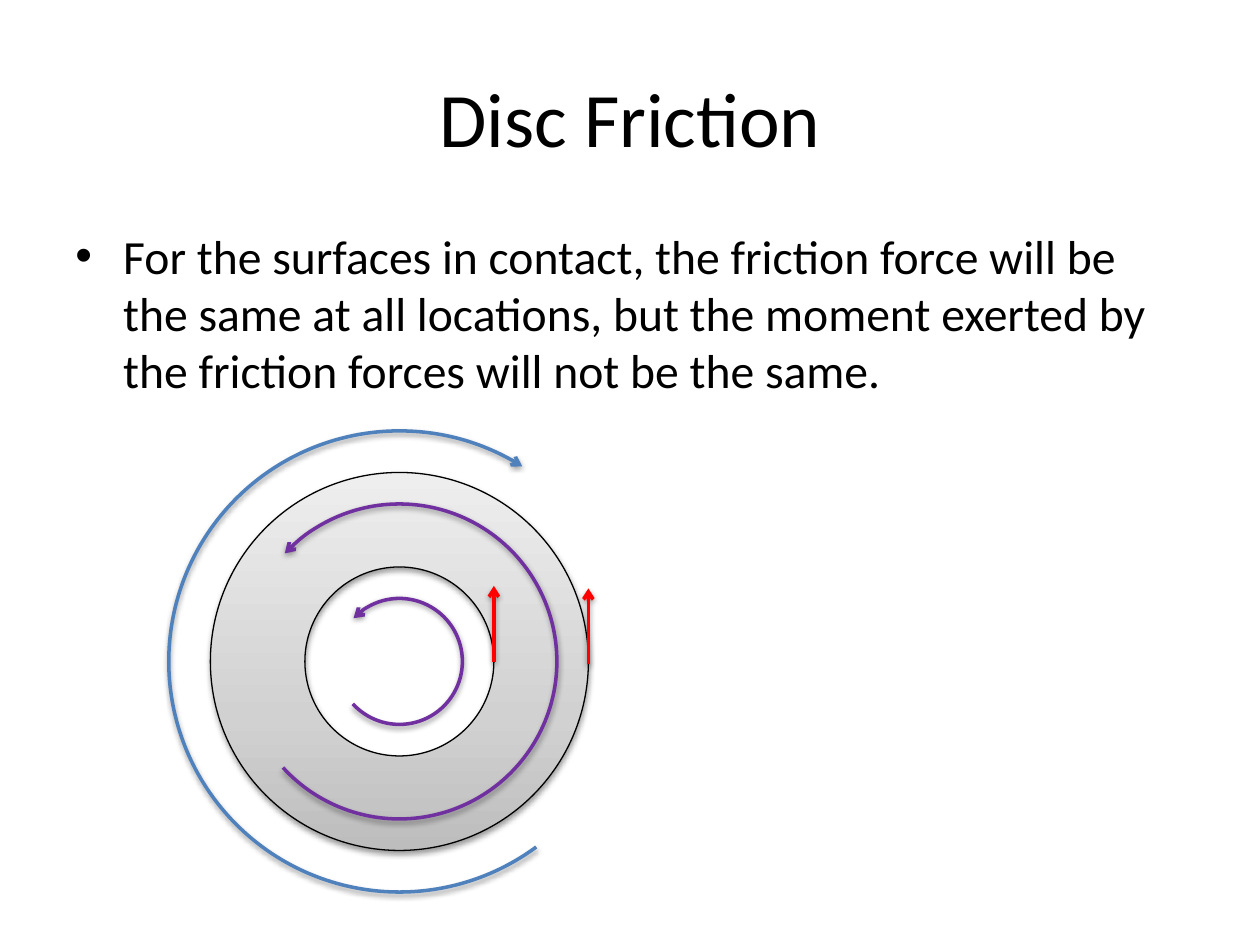
from dataclasses import dataclass

from lxml.etree import SubElement
from pptx import Presentation
from pptx.dml.color import RGBColor
from pptx.enum.shapes import MSO_CONNECTOR, MSO_SHAPE
from pptx.enum.text import MSO_ANCHOR, PP_ALIGN
from pptx.oxml import parse_xml
from pptx.oxml.ns import nsdecls, qn
from pptx.util import Inches, Pt

BLACK = RGBColor(0x00, 0x00, 0x00)
BLUE = RGBColor(0x4F, 0x81, 0xBD)
PURPLE = RGBColor(0x70, 0x30, 0xA0)
RED = RGBColor(0xFF, 0x00, 0x00)
DISC_STOPS = (
    (0, RGBColor(0xBD, 0xBD, 0xBD)),
    (35, RGBColor(0xD1, 0xD1, 0xD1)),
    (100, RGBColor(0xEE, 0xEE, 0xEE)),
)
FONT = "Calibri"

CENTER_X, CENTER_Y = 3.17, 5.25
OUTER_RADIUS, INNER_RADIUS = 1.5, 0.75
FORCE_LENGTH = 0.6


@dataclass(frozen=True)
class Moment:
    """An arc about the disc centre; angles are degrees clockwise from the right."""
    radius: float
    start: float
    end: float
    color: RGBColor
    arrow_end: str


@dataclass(frozen=True)
class Force:
    """An upward friction force at a radius of the disc."""
    radius: float
    drop: float


MOMENTS = (
    Moment(0.5, 223.33, 137.64, PURPLE, "headEnd"),
    Moment(1.25, 223.33, 137.64, PURPLE, "headEnd"),
    Moment(1.83, 53.58, 302.2, BLUE, "tailEnd"),
)
FORCES = (Force(INNER_RADIUS, 0), Force(OUTER_RADIUS, 0.02))


def add_soft_shadow(shape) -> None:
    properties = shape._element.spPr
    for effects in properties.findall(qn("a:effectLst")):
        properties.remove(effects)
    properties.append(parse_xml(
        f'<a:effectLst {nsdecls("a")}>'
        '<a:outerShdw blurRad="40000" dist="20000" dir="5400000" rotWithShape="0">'
        '<a:srgbClr val="000000"><a:alpha val="38000"/></a:srgbClr>'
        '</a:outerShdw></a:effectLst>'))


def style_line(shape, color: RGBColor, width: float, arrow_end: str = "") -> None:
    shape.line.color.rgb = color
    shape.line.width = Pt(width)
    if arrow_end:
        SubElement(shape.line._get_or_add_ln(), qn(f"a:{arrow_end}"), type="arrow")
    add_soft_shadow(shape)


def add_centered(slide, preset: MSO_SHAPE, radius: float):
    return slide.shapes.add_shape(
        preset, Inches(CENTER_X - radius), Inches(CENTER_Y - radius),
        Inches(2 * radius), Inches(2 * radius))


def add_disc(slide) -> None:
    disc = add_centered(slide, MSO_SHAPE.DONUT, OUTER_RADIUS)
    disc.adjustments[0] = (OUTER_RADIUS - INNER_RADIUS) / (2 * OUTER_RADIUS)
    stops = "".join(
        f'<a:gs pos="{share * 1000}"><a:srgbClr val="{color}"/></a:gs>'
        for share, color in DISC_STOPS)
    disc._element.spPr.find(qn("a:prstGeom")).addnext(parse_xml(
        f'<a:gradFill {nsdecls("a")} rotWithShape="1"><a:gsLst>{stops}</a:gsLst>'
        '<a:lin ang="16200000" scaled="0"/></a:gradFill>'))
    style_line(disc, BLACK, 0.75)


def add_moment(slide, moment: Moment) -> None:
    arc = add_centered(slide, MSO_SHAPE.ARC, moment.radius)
    # An adjustment of 1 stands for 100000 units, a degree for 60000.
    for index, angle in enumerate((moment.start, moment.end)):
        arc.adjustments[index] = angle * 0.6
    arc.fill.background()
    style_line(arc, moment.color, 2, moment.arrow_end)


def add_force(slide, force: Force) -> None:
    x, foot = Inches(CENTER_X + force.radius), CENTER_Y + force.drop
    arrow = slide.shapes.add_connector(
        MSO_CONNECTOR.STRAIGHT, x, Inches(foot), x, Inches(foot - FORCE_LENGTH))
    style_line(arrow, RED, 2, "tailEnd")


def set_font(paragraph, size: float) -> None:
    font = paragraph.runs[0].font
    font.name, font.size = FONT, Pt(size)
    font.color.rgb = BLACK


def add_title(slide, text: str) -> None:
    title = slide.shapes.title
    title.left, title.top = Inches(0.5), Inches(0.3)
    title.width, title.height = Inches(9), Inches(1.25)
    frame = title.text_frame
    frame.text = text
    frame.vertical_anchor = MSO_ANCHOR.MIDDLE
    frame.paragraphs[0].alignment = PP_ALIGN.CENTER
    set_font(frame.paragraphs[0], 44)


def add_statement(slide, text: str) -> None:
    box = slide.shapes.add_textbox(Inches(0.5), Inches(1.75), Inches(9), Inches(1.33))
    frame = box.text_frame
    frame.word_wrap = True
    frame.text = text
    statement = frame.paragraphs[0]
    properties = statement._p.get_or_add_pPr()
    indent = Inches(0.38)
    properties.set("marL", str(indent))
    properties.set("indent", str(-indent))
    SubElement(properties, qn("a:buFont"), typeface="Arial")
    SubElement(properties, qn("a:buChar"), char="•")
    set_font(statement, 27.2)


def main() -> None:
    deck = Presentation()
    deck.slide_width, deck.slide_height = Inches(10), Inches(7.5)
    slide = deck.slides.add_slide(deck.slide_layouts[5])
    add_title(slide, "Disc Friction")
    add_statement(
        slide,
        "For the surfaces in contact, the friction force will be the same at all "
        "locations, but the moment exerted by the friction forces will not be the same.")
    add_disc(slide)
    for moment in MOMENTS:
        add_moment(slide, moment)
    for force in FORCES:
        add_force(slide, force)
    deck.save("out.pptx")


if __name__ == "__main__":
    main()
